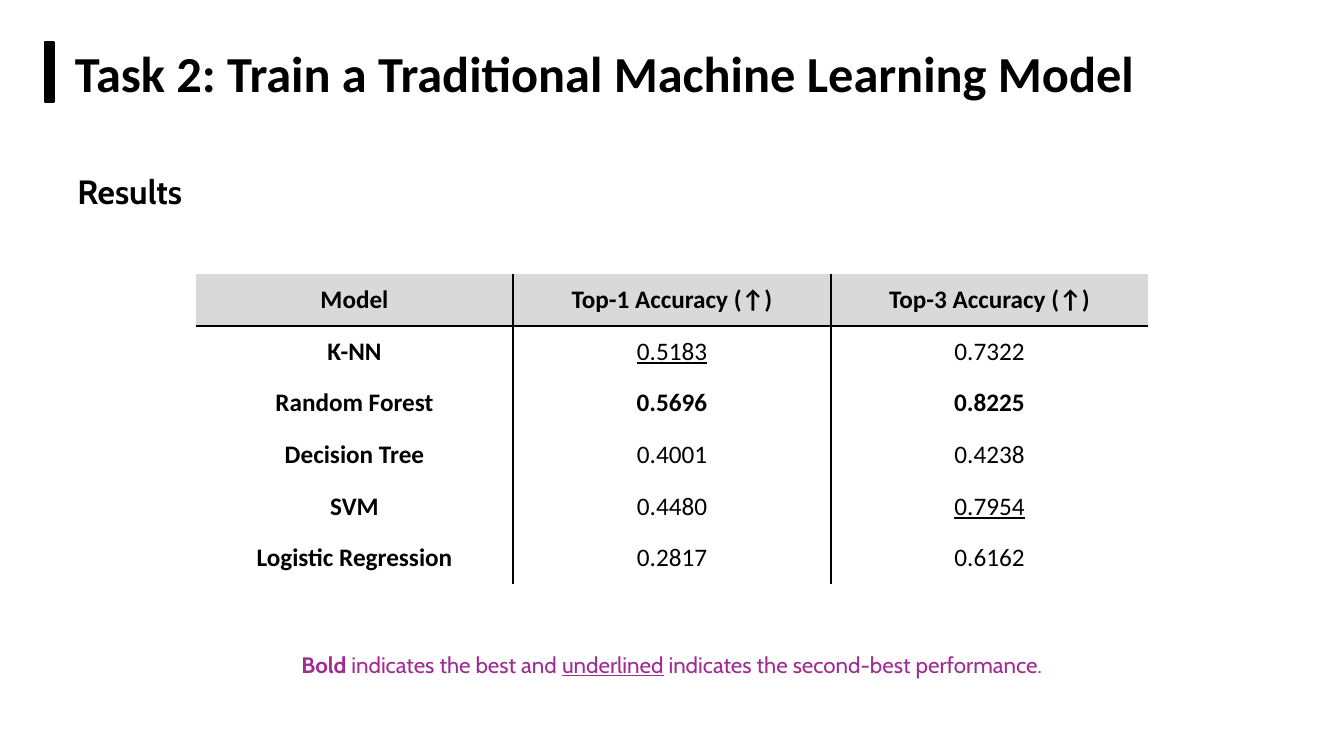
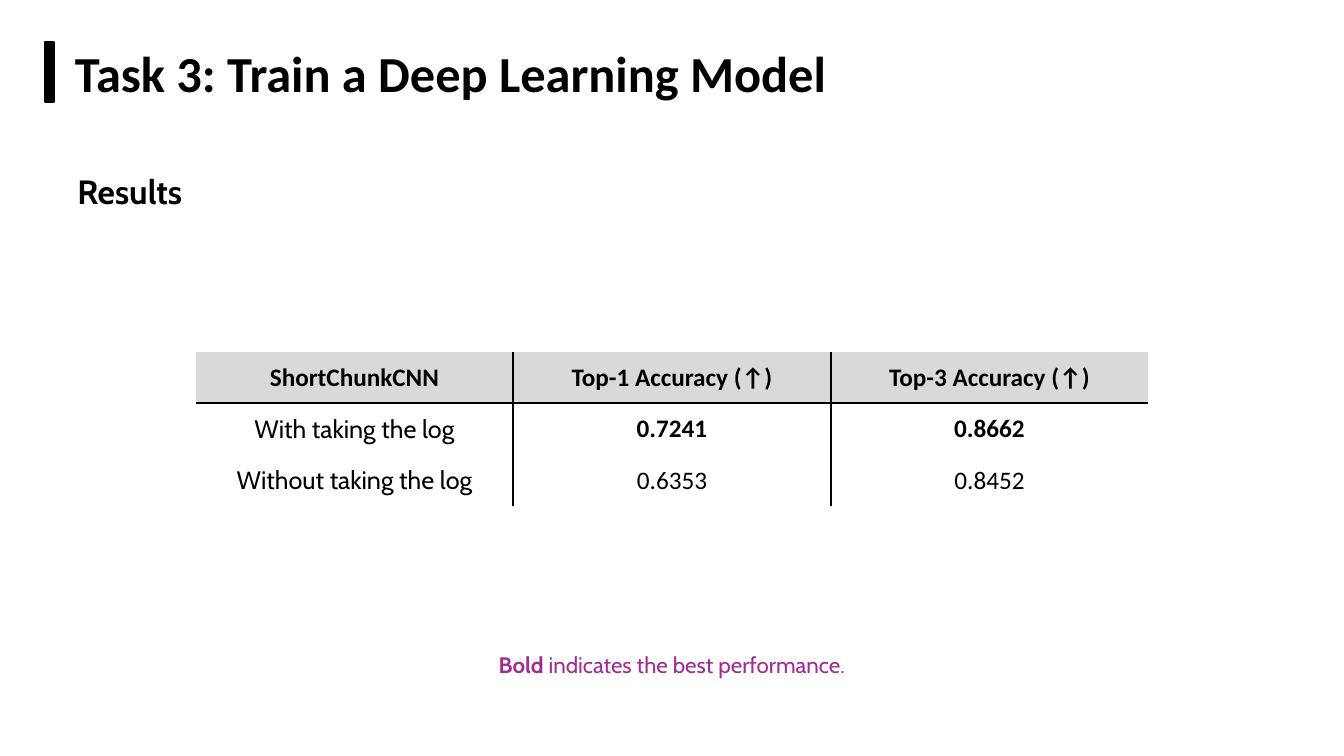
"""Build two result slides, each with a title, an accuracy table and a note."""
import pptx
import pptx.util
import pptx.dml.color
import pptx.enum.shapes
import pptx.enum.text
import pptx.oxml

Pt = pptx.util.Pt
RGB = pptx.dml.color.RGBColor.from_string
ALIGN = pptx.enum.text.PP_ALIGN
MIDDLE = pptx.enum.text.MSO_ANCHOR.MIDDLE

COLORS = {"text": "000000", "header": "D9D9D9", "body": "FFFFFF", "note": "A02B93"}
HEADINGS = ["Top-1 Accuracy (↑)", "Top-3 Accuracy (↑)"]
SLIDE_W, SLIDE_H = 960, 540
COL_W, ROW_H, TABLE_MID = 226.8, 36.86, 306.5
RULE = 1.5

SLIDES = [
    {
        "title": "Task 2: Train a Traditional Machine Learning Model",
        "corner": "Model",
        "label_font": ("Calibri", True),
        "rows": [
            ("K-NN", "0.5183", "0.7322"),
            ("Random Forest", "0.5696", "0.8225"),
            ("Decision Tree", "0.4001", "0.4238"),
            ("SVM", "0.4480", "0.7954"),
            ("Logistic Regression", "0.2817", "0.6162"),
        ],
        "mark_second": True,
        "note": ["Bold", " indicates the best and ", "underlined",
                 " indicates the second-best performance."],
    },
    {
        "title": "Task 3: Train a Deep Learning Model",
        "corner": "ShortChunkCNN",
        "label_font": ("Cabin", False),
        "rows": [
            ("With taking the log", "0.7241", "0.8662"),
            ("Without taking the log", "0.6353", "0.8452"),
        ],
        "mark_second": False,
        "note": ["Bold", " indicates the best performance."],
    },
]


def style(p, name, size, color, bold, align):
    p.alignment = align
    p.font.name = name
    p.font.size = Pt(size)
    p.font.bold = bold
    p.font.color.rgb = RGB(COLORS[color])


def set_borders(cell, sides):
    tcPr = cell._tc.get_or_add_tcPr()
    for side in "LRTB":
        if side in sides:
            line = f'<a:solidFill><a:srgbClr val="{COLORS["text"]}"/></a:solidFill>'
        else:
            line = "<a:noFill/>"
        tcPr.append(pptx.oxml.parse_xml(
            f'<a:ln{side} xmlns:a="http://schemas.openxmlformats.org/drawingml/2006/main"'
            f' w="{Pt(RULE)}">{line}</a:ln{side}>'))


prs = pptx.Presentation()
prs.slide_width, prs.slide_height = Pt(SLIDE_W), Pt(SLIDE_H)

for content in SLIDES:
    s = prs.slides.add_slide(prs.slide_layouts[5])

    title = s.shapes.title
    title.left, title.top, title.width, title.height = Pt(46.3), Pt(26), Pt(882), Pt(51)
    tf = title.text_frame
    tf.text = content["title"]
    tf.vertical_anchor = MIDDLE
    style(tf.paragraphs[0], "Calibri", 36, "text", True, ALIGN.LEFT)

    bar = s.shapes.add_shape(pptx.enum.shapes.MSO_SHAPE.RECTANGLE,
                             Pt(32.4), Pt(30.2), Pt(5.8), Pt(42.5))
    bar.shadow.inherit = False
    bar.fill.solid()
    bar.fill.fore_color.rgb = RGB(COLORS["text"])
    bar.line.color.rgb = RGB(COLORS["text"])
    bar.line.width = Pt(RULE)

    tf = s.shapes.add_textbox(Pt(48.2), Pt(104.4), Pt(864), Pt(46.8)).text_frame
    tf.word_wrap = True
    p = tf.paragraphs[0]
    p.text = "Results"
    p.line_spacing = 1.5
    style(p, "Cabin", 24, "text", True, ALIGN.JUSTIFY)

    rows = [(content["corner"], *HEADINGS)] + content["rows"]
    n_rows, n_cols = len(rows), len(rows[0])
    width, height = n_cols * COL_W, n_rows * ROW_H
    table = s.shapes.add_table(n_rows, n_cols, Pt((SLIDE_W - width) / 2),
                               Pt(TABLE_MID - height / 2), Pt(width), Pt(height)).table
    table.horz_banding = False
    ranked = [sorted(column, reverse=True) for column in zip(*content["rows"])]

    for i, row in enumerate(rows):
        for j, text in enumerate(row):
            cell = table.cell(i, j)
            sides = ("L" if j > 0 else "") + ("R" if j < n_cols - 1 else "")
            sides += {0: "B", 1: "T"}.get(i, "")
            set_borders(cell, sides)
            cell.fill.solid()
            cell.fill.fore_color.rgb = RGB(COLORS["body" if i else "header"])
            cell.vertical_anchor = MIDDLE
            if i == 0:
                font, bold = "Calibri", True
            elif j == 0:
                font, bold = content["label_font"]
            else:
                font, bold = "Calibri", text == ranked[j][0]
            p = cell.text_frame.paragraphs[0]
            p.text = text
            style(p, font, 18, "text", bold, ALIGN.CENTER)
            if i and j and content["mark_second"] and text == ranked[j][1]:
                p.runs[0].font.underline = True

    tf = s.shapes.add_textbox(Pt(200.2), Pt(461.5), Pt(559.4), Pt(26.6)).text_frame
    tf.word_wrap = True
    p = tf.paragraphs[0]
    style(p, "Cabin", 16, "note", False, ALIGN.CENTER)
    for text in content["note"]:
        r = p.add_run()
        r.text = text
        r.font.name = "Cabin"
        r.font.size = Pt(16)
        r.font.color.rgb = RGB(COLORS["note"])
        r.font.bold = text == "Bold"
        r.font.underline = text == "underlined"

prs.save("out.pptx")
